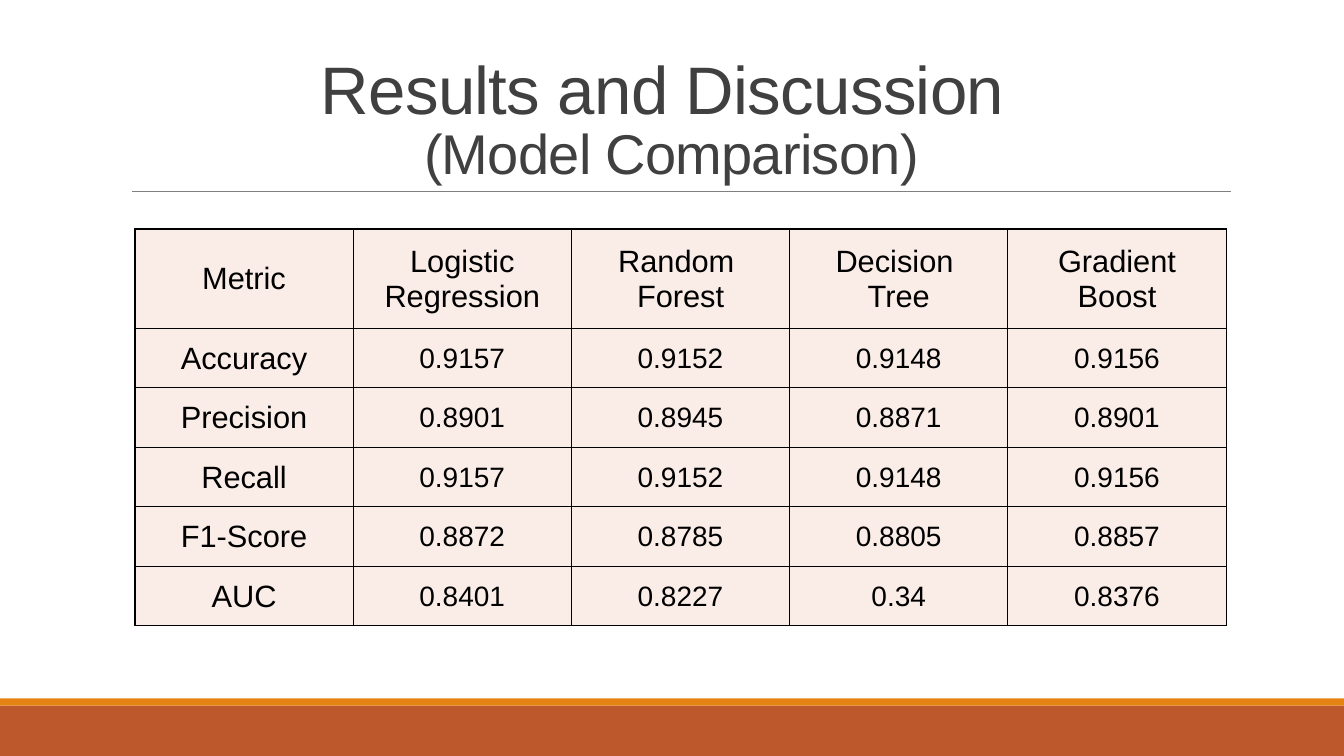
from lxml.etree import SubElement
from pptx import Presentation
from pptx.dml.color import RGBColor
from pptx.enum.shapes import MSO_CONNECTOR, MSO_SHAPE
from pptx.enum.text import MSO_ANCHOR, PP_ALIGN
from pptx.oxml.ns import qn
from pptx.util import Cm, Pt

FONT = "Arial"
SLIDE_W, SLIDE_H = 33.87, 19.05
HEADER = ["Metric", "Logistic Regression", "Random \nForest",
          "Decision \nTree", "Gradient\nBoost"]
SCORES = [
    ["Accuracy", "0.9157", "0.9152", "0.9148", "0.9156"],
    ["Precision", "0.8901", "0.8945", "0.8871", "0.8901"],
    ["Recall", "0.9157", "0.9152", "0.9148", "0.9156"],
    ["F1-Score", "0.8872", "0.8785", "0.8805", "0.8857"],
    ["AUC", "0.8401", "0.8227", "0.34", "0.8376"],
]


def rgb(value):
    return RGBColor.from_string(value)


def apply(obj, values):
    for name, value in values.items():
        setattr(obj, name, value)


def style_run(r, size, color):
    apply(r.font, {"name": FONT, "size": Pt(size), "bold": False})
    r.font.color.rgb = rgb(color)


def add_footer(s, x, y, w, h):
    stripe_h = 0.18
    for top, height, color in [(y + stripe_h, h - stripe_h, "BD582C"),
                               (y, stripe_h, "E48312")]:
        sp = s.shapes.add_shape(MSO_SHAPE.RECTANGLE, Cm(x), Cm(top), Cm(w), Cm(height))
        sp.shadow.inherit = False
        sp.fill.solid()
        sp.fill.fore_color.rgb = rgb(color)
        sp.line.fill.background()


def add_rule(s, x, y, w):
    line = s.shapes.add_connector(MSO_CONNECTOR.STRAIGHT, Cm(x), Cm(y), Cm(x + w), Cm(y))
    line.line.color.rgb = rgb("808080")
    line.line.width = Pt(0.5)
    SubElement(line._element.spPr, qn("a:effectLst"))


def add_title(s, x, y, w, h):
    tf = s.shapes.add_textbox(Cm(x), Cm(y), Cm(w), Cm(h)).text_frame
    apply(tf, {"word_wrap": True, "vertical_anchor": MSO_ANCHOR.BOTTOM})
    p = tf.paragraphs[0]
    apply(p, {"alignment": PP_ALIGN.CENTER, "line_spacing": 0.85})
    for text, size in [("Results and Discussion ", 48), ("(Model Comparison)", 40)]:
        if p.runs:
            p.add_line_break()
        r = p.add_run()
        r.text = text
        style_run(r, size, "404040")
        r.font._element.set("spc", "-50")


def add_borders(cell):
    tcPr = cell._tc.get_or_add_tcPr()
    for side in ("lnL", "lnR", "lnT", "lnB"):
        ln = SubElement(tcPr, qn(f"a:{side}"), w=str(Pt(1)))
        fill = SubElement(ln, qn("a:solidFill"))
        SubElement(fill, qn("a:srgbClr"), val="000000")


def fill_cell(cell, text, size):
    apply(cell, {"margin_left": Cm(0.03), "margin_right": Cm(0.03),
                 "margin_top": Cm(0.03), "margin_bottom": 0,
                 "vertical_anchor": MSO_ANCHOR.MIDDLE})
    add_borders(cell)
    cell.fill.solid()
    cell.fill.fore_color.rgb = rgb("FAEDE7")
    cell.text_frame.text = text
    for p in cell.text_frame.paragraphs:
        p.alignment = PP_ALIGN.CENTER
        for r in p.runs:
            style_run(r, size, "000000")


def add_scores(s, x, y, w, h):
    rows = [HEADER] + SCORES
    header_h = h / 4
    table = s.shapes.add_table(len(rows), len(HEADER), Cm(x), Cm(y), Cm(w), Cm(h)).table
    apply(table, {"first_row": False, "horz_banding": False})
    for col in table.columns:
        col.width = Cm(w / len(HEADER))
    for i, row in enumerate(rows):
        table.rows[i].height = Cm((h - header_h) / len(SCORES) if i else header_h)
        for j, text in enumerate(row):
            fill_cell(table.cell(i, j), text, 20 if i and j else 22)


def main():
    prs = Presentation()
    apply(prs, {"slide_width": Cm(SLIDE_W), "slide_height": Cm(SLIDE_H)})
    s = prs.slides.add_slide(prs.slide_layouts[6])
    add_footer(s, 0, 17.6, SLIDE_W, SLIDE_H - 17.6)
    add_rule(s, 3.33, 4.83, 27.68)
    add_title(s, 2.01, 0.76, 29.82, 4.04)
    add_scores(s, 3.4, 5.77, 27.5, 10)
    prs.save("out.pptx")


if __name__ == "__main__":
    main()
